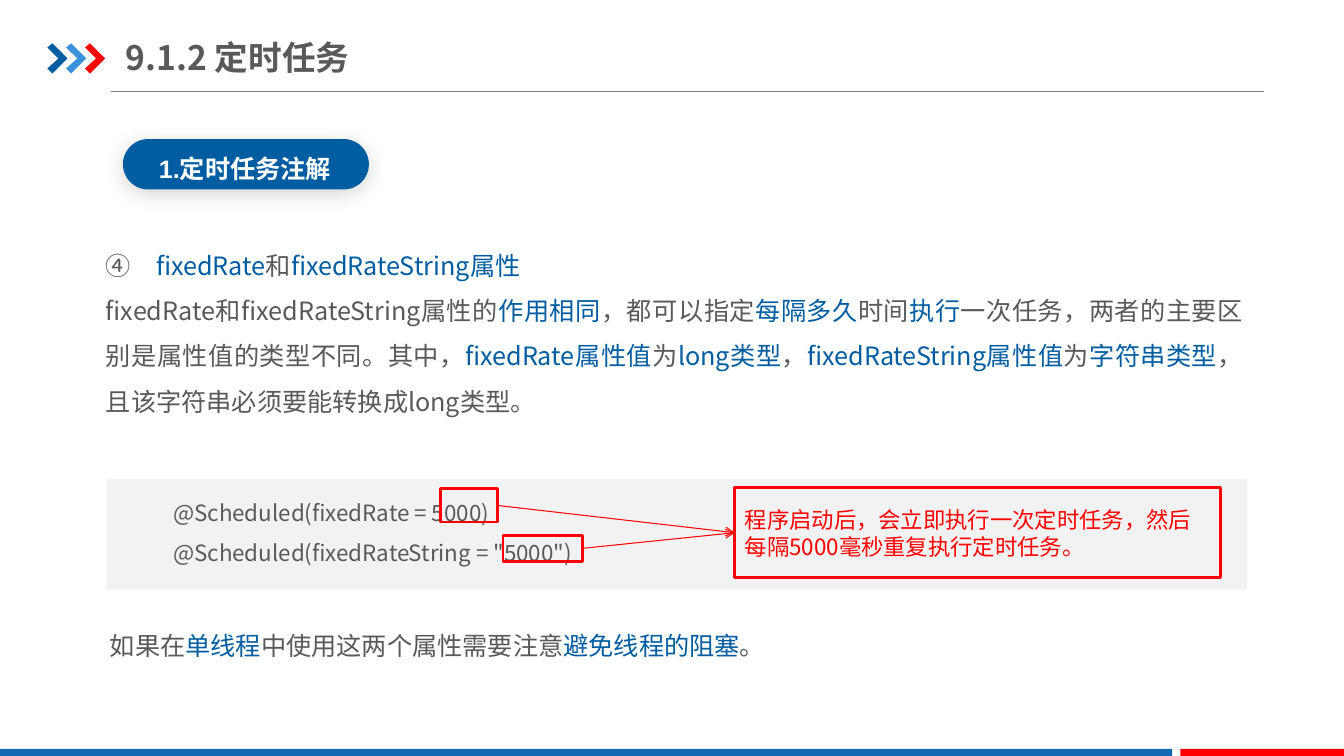
from dataclasses import dataclass

from pptx import Presentation
from pptx.dml.color import RGBColor
from pptx.enum.shapes import MSO_CONNECTOR as Connector, MSO_SHAPE as Shape
from pptx.enum.text import MSO_ANCHOR as Anchor, MSO_AUTO_SIZE as AutoSize, PP_ALIGN as Align
from pptx.oxml import parse_xml
from pptx.oxml.ns import nsdecls, qn
from pptx.util import Inches, Pt


@dataclass(frozen=True)
class Theme:
    """Colours, fonts and type sizes of the slide."""
    blue: str = "005DA2"
    sky: str = "3992DB"
    bar: str = "1369B2"
    red: str = "FF0000"
    text: str = "595959"
    rule: str = "808080"
    panel: str = "F2F2F2"
    white: str = "FFFFFF"
    font: str = "Noto Sans CJK SC"
    label_font: str = "Arial"
    title_size: int = 24
    body_size: int = 18
    code_size: int = 16


THEME = Theme()
COLUMNS, ROWS = 160, 90
INSET = (1.2, 0.6)


def cells(*counts):
    """Turn counts of square grid cells into lengths."""
    return [Inches(count * 7.5 / ROWS) for count in counts]


def colour(code):
    """Return the colour object for a hex code."""
    return RGBColor.from_string(code)


def write(box, text, size=THEME.body_size, font=THEME.font, ink=THEME.text, accent=THEME.blue,
          bold=False, align=Align.LEFT, spacing=1.0, anchor=Anchor.TOP, inset=INSET):
    """Write lines of text into a box, with accented parts between bars."""
    frame = box.text_frame
    frame.word_wrap = True
    frame.auto_size = AutoSize.NONE
    frame.vertical_anchor = anchor
    frame.margin_left, frame.margin_top = cells(*inset)
    frame.margin_right, frame.margin_bottom = cells(*inset)
    for index, line in enumerate(text.split("\n")):
        para = frame.paragraphs[0] if index == 0 else frame.add_paragraph()
        para.alignment, para.line_spacing = align, spacing
        para.space_before = Pt(0)
        for order, part in enumerate(line.split("|")):
            if not part:
                continue
            span = para.add_run()
            span.text = part
            span.font.size, span.font.bold, span.font.name = Pt(size), bold, font
            span.font.color.rgb = colour(accent if order % 2 else ink)
            east = parse_xml(f'<a:ea {nsdecls("a")} typeface="{font}"/>')
            span.font._element.find(qn("a:latin")).addnext(east)


def add_text(page, place, text, **style):
    """Add a text box on the grid."""
    box = page.shapes.add_textbox(*cells(*place))
    write(box, text, **style)
    return box


def paint(shape, fill=None, line=None, width=2):
    """Set the fill and outline of a shape and drop its shadow."""
    shape.shadow.inherit = False
    if fill:
        shape.fill.solid()
        shape.fill.fore_color.rgb = colour(fill)
    else:
        shape.fill.background()
    if line:
        shape.line.color.rgb = colour(line)
        shape.line.width = Pt(width)
    else:
        shape.line.fill.background()
    return shape


def add_block(page, place, kind=Shape.RECTANGLE, **style):
    """Add a preset shape on the grid."""
    return paint(page.shapes.add_shape(kind, *cells(*place)), **style)


def add_line(page, start, end, ink, arrow=False):
    """Add a thin straight line, with an arrowhead if wanted."""
    link = page.shapes.add_connector(Connector.STRAIGHT, *cells(*start, *end))
    link.line.color.rgb = colour(ink)
    link.line.width = Pt(0.75)
    if arrow:
        link.line._get_or_add_ln().append(parse_xml(f'<a:tailEnd {nsdecls("a")} type="arrow"/>'))
    link._element.spPr.append(parse_xml(f'<a:effectLst {nsdecls("a")}/>'))
    return link


def add_chevron(page, left, top, fill):
    """Add one pointed chevron."""
    outline = [(0, 0.5), (0.6, 0), (2.4, 1.8), (0.6, 3.6), (0, 3), (1.32, 1.8)]
    points = [cells(left + x, top + y) for x, y in outline]
    pen = page.shapes.build_freeform(*points[0])
    pen.add_line_segments(points[1:], close=True)
    paint(pen.convert_to_shape(), fill=fill)


def add_soft_shadow(shape):
    """Give a shape a faint shadow below it."""
    shape._element.spPr.find(qn("a:effectLst")).append(parse_xml(
        f'<a:outerShdw {nsdecls("a")} blurRad="{Pt(15)}" dist="{Pt(3)}" dir="5400000" algn="t">'
        '<a:srgbClr val="000000"><a:alpha val="17000"/></a:srgbClr></a:outerShdw>'))


def add_header(page):
    """Add the title, rule, chevrons and bottom bars."""
    add_line(page, (13.2, 10.92), (150.48, 10.92), THEME.rule)
    for index, fill in enumerate((THEME.blue, THEME.sky, THEME.red)):
        add_chevron(page, 5.64 + 2.24 * index, 5.16, fill)
    add_block(page, (0, 89.16, 139.56, 0.84), fill=THEME.bar)
    add_block(page, (140.52, 89.16, COLUMNS - 140.52, 0.84), fill=THEME.red)
    title = page.shapes.title
    title.left, title.top, title.width, title.height = cells(15, 3.48, 86.28, 6.6)
    write(title, "9.1.2 定时任务", size=THEME.title_size, bold=True,
          anchor=Anchor.MIDDLE, inset=(0, 0.84))


def add_pill(page, text):
    """Add the rounded section label."""
    pill = add_block(page, (14.64, 16.56, 29.28, 6), Shape.ROUNDED_RECTANGLE, fill=THEME.blue)
    pill.adjustments[0] = 0.5
    add_soft_shadow(pill)
    add_text(page, (14.16, 16.44, 30, 6.12), text, font=THEME.label_font, ink=THEME.white,
             bold=True, align=Align.CENTER, spacing=1.35)


def add_code_panel(page):
    """Add the code sample with its marked values and callout."""
    add_block(page, (12.72, 57, 135.72, 13.2), fill=THEME.panel)
    add_text(page, (19.44, 57.24, 116.28, 12.96),
             '@Scheduled(fixedRate = 5000)\n@Scheduled(fixedRateString = "5000")',
             size=THEME.code_size, align=Align.JUSTIFY, spacing=1.5)
    marks = [add_block(page, place, line=THEME.red)
             for place in ((52.44, 58.2, 6.84, 3.96), (59.88, 63.72, 9.48, 3.12))]
    callout = add_block(page, (87.48, 58.08, 57.84, 10.68), line=THEME.red)
    write(callout, "程序启动后，会立即执行一次定时任务，然后每隔5000毫秒重复执行定时任务。",
          size=THEME.code_size, ink=THEME.red, anchor=Anchor.MIDDLE)
    for mark in marks:
        arrow = add_line(page, (0, 0), (1, 1), THEME.red, arrow=True)
        arrow.begin_connect(mark, 3)
        arrow.end_connect(callout, 1)


def main():
    """Build the slide and save it."""
    deck = Presentation()
    deck.slide_width, deck.slide_height = cells(COLUMNS, ROWS)
    page = deck.slides.add_slide(deck.slide_layouts[5])
    add_header(page)
    prose = {"align": Align.JUSTIFY, "spacing": 1.5, "inset": (0, 0)}
    add_text(page, (12.6, 27.96, 135.36, 21.84),
             "④　|fixedRate|和|fixedRateString属性|\n"
             "fixedRate和fixedRateString属性的|作用相同|，都可以指定|每隔多久|时间|执行|一次任务，"
             "两者的主要区别是属性值的类型不同。其中，|fixedRate属性值|为|long类型|，"
             "|fixedRateString属性值|为|字符串类型|，且该字符串必须要能转换成long类型。", **prose)
    add_pill(page, "1.定时任务注解")
    add_code_panel(page)
    add_text(page, (13.08, 73.2, 84.6, 5.4),
             "如果在|单线程|中使用这两个属性需要注意|避免线程的阻塞|。", **prose)
    deck.save("out.pptx")


if __name__ == "__main__":
    main()
